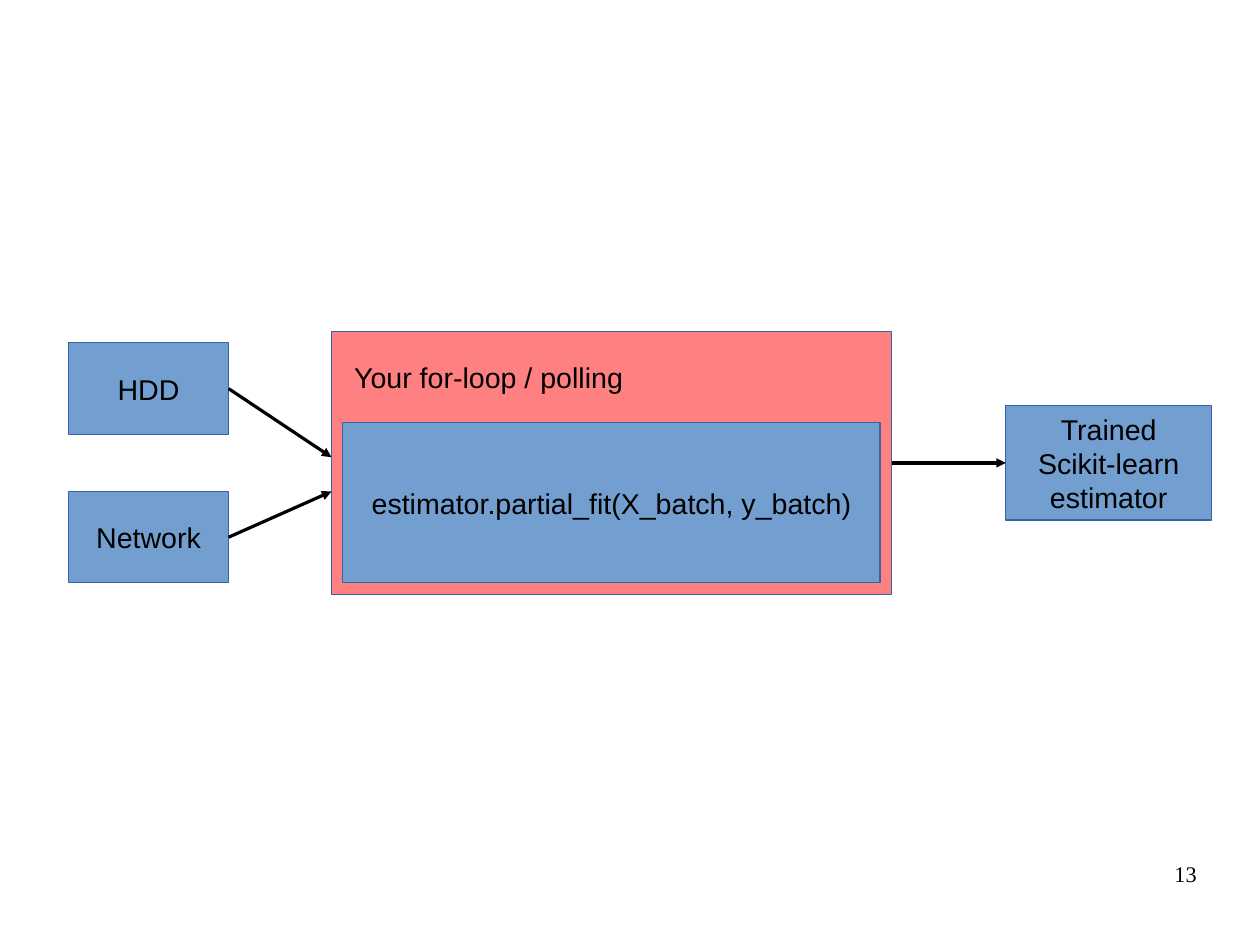
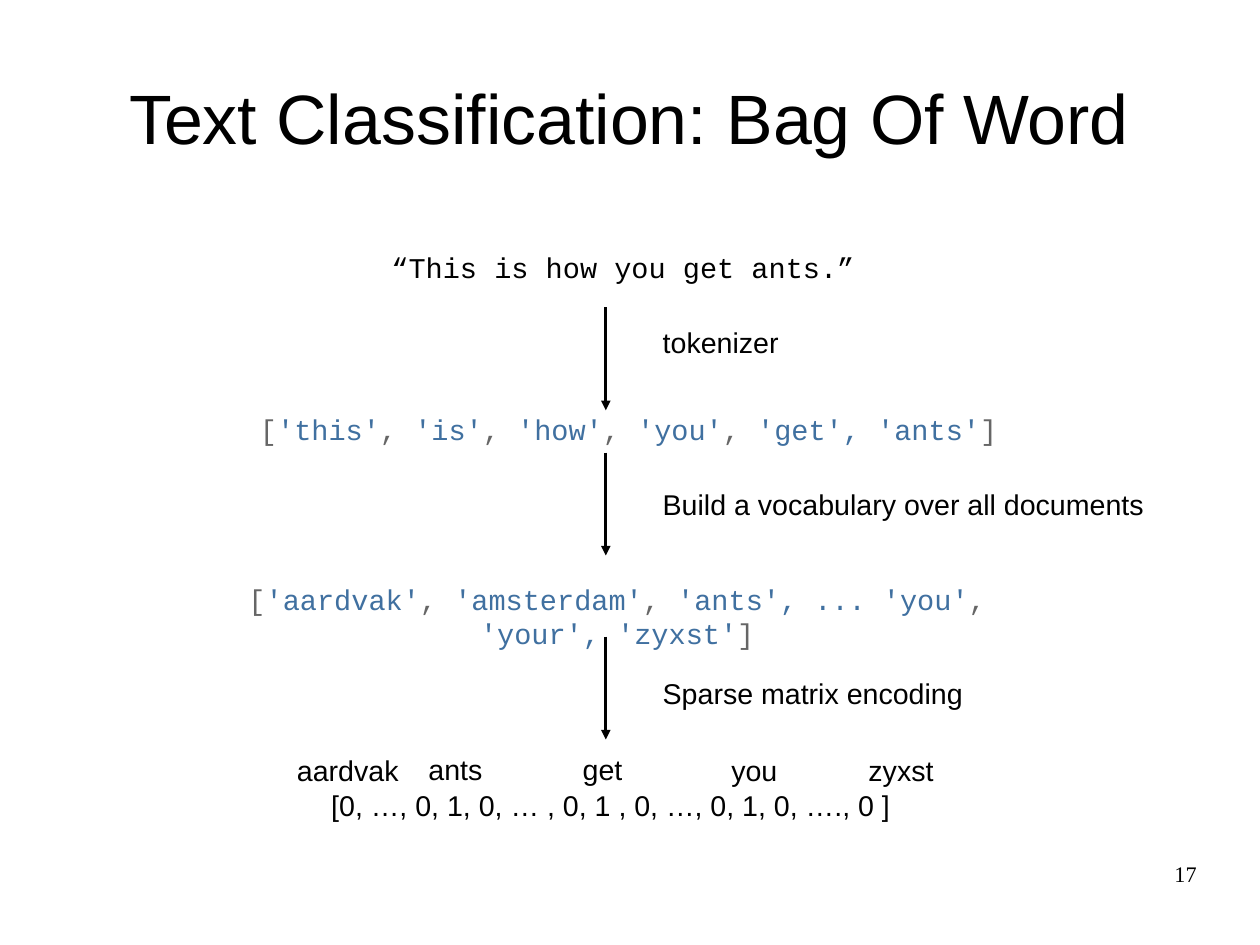
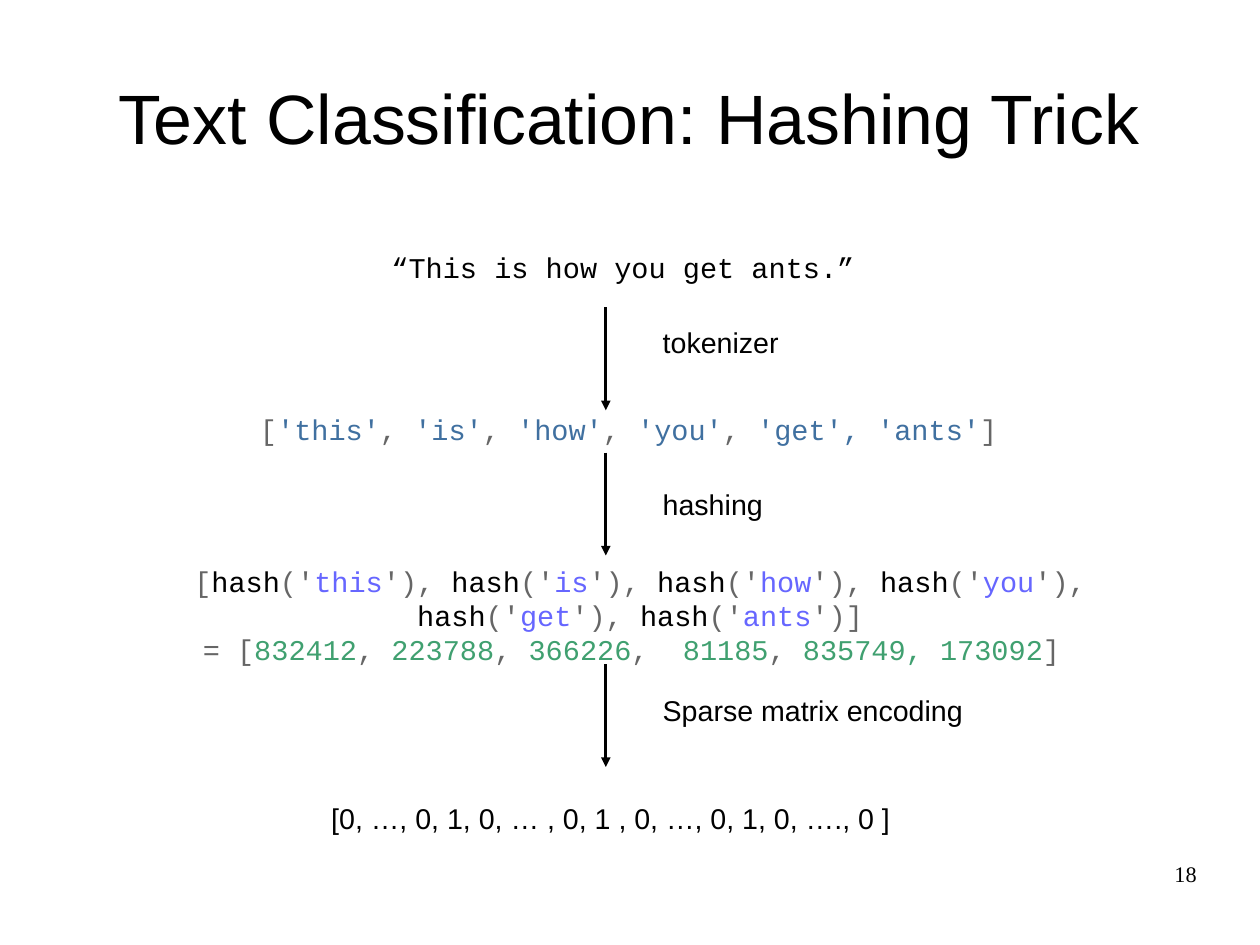
from itertools import cycle

from lxml.etree import SubElement
from pptx import Presentation
from pptx.dml.color import RGBColor
from pptx.enum.shapes import MSO_CONNECTOR, MSO_SHAPE
from pptx.enum.text import MSO_ANCHOR, PP_ALIGN
from pptx.oxml.ns import qn
from pptx.util import Pt

BLACK, BLUE, RED, EDGE = "000000", "729FCF", "FF8080", "3465A4"
GREY, STRING, WORD, NUMBER = "666666", "4070A0", "6666FF", "40A070"
SANS, MONO, SERIF = "Arial", "Courier New", "Times New Roman"
LEFT, CENTER, RIGHT = PP_ALIGN.LEFT, PP_ALIGN.CENTER, PP_ALIGN.RIGHT
TOP_SIDE, LEFT_SIDE, BOTTOM_SIDE, RIGHT_SIDE = range(4)


def color(value):
    return RGBColor.from_string(value)


class Pages:
    def __init__(self):
        self.deck = Presentation()
        self.deck.slide_width = Pt(793.7)
        self.deck.slide_height = Pt(595.28)
        self.page = None

    def new_page(self, number, title=None):
        self.page = self.deck.slides.add_slide(self.deck.slide_layouts[6])
        if title:
            self.text(title, 39.6, 23.76, 714.24, 99.36, size=44,
                      align=CENTER, anchor=MSO_ANCHOR.MIDDLE, inset=False)
        self.text(number, 568.8, 542.16, 185.04, 41.04, size=14,
                  font=SERIF, align=RIGHT, inset=False)

    def style(self, span, size, font, shade):
        span.font.size = Pt(size)
        span.font.name = font
        span.font.color.rgb = color(shade)

    def format(self, frame, size, font, align):
        for para in frame.paragraphs:
            para.alignment = align
            for span in para.runs:
                self.style(span, size, font, BLACK)

    def frame(self, left, top, width, height, inset=True):
        box = self.page.shapes.add_textbox(Pt(left), Pt(top), Pt(width), Pt(height))
        frame = box.text_frame
        frame.word_wrap = True
        if not inset:
            frame.margin_left = frame.margin_right = Pt(0)
            frame.margin_top = frame.margin_bottom = Pt(0)
        return frame

    def text(self, words, left, top, width, height=27.36, size=18, font=SANS,
             align=LEFT, anchor=MSO_ANCHOR.TOP, inset=True):
        frame = self.frame(left, top, width, height, inset)
        frame.vertical_anchor = anchor
        frame.text = words
        self.format(frame, size, font, align)

    def code(self, lines, left, top, width, height):
        frame = self.frame(left, top, width, height, inset=False)
        for index, line in enumerate(lines):
            para = frame.add_paragraph() if index else frame.paragraphs[0]
            para.alignment = CENTER
            for words, shade in line:
                span = para.add_run()
                span.text = words
                self.style(span, 18, MONO, shade)

    def block(self, words, left, top, width, height, fill=BLUE):
        box = self.page.shapes.add_shape(
            MSO_SHAPE.RECTANGLE, Pt(left), Pt(top), Pt(width), Pt(height))
        box.shadow.inherit = False
        box.fill.solid()
        box.fill.fore_color.rgb = color(fill)
        box.line.color.rgb = color(EDGE)
        box.line.width = Pt(0)
        if words:
            frame = box.text_frame
            frame.word_wrap = False
            frame.vertical_anchor = MSO_ANCHOR.MIDDLE
            frame.text = words
            self.format(frame, 18, SANS, CENTER)
        return box

    def arrow(self, start, end, source=None, target=None):
        arrow = self.page.shapes.add_connector(
            MSO_CONNECTOR.STRAIGHT, *[Pt(value) for value in (*start, *end)])
        if source is not None:
            arrow.begin_connect(source, RIGHT_SIDE)
        if target is not None:
            arrow.end_connect(target, LEFT_SIDE)
        arrow.line.color.rgb = color(BLACK)
        arrow.line.width = Pt(0)
        properties = arrow.element.spPr
        SubElement(properties.find(qn("a:ln")), qn("a:tailEnd"), type="triangle")
        SubElement(properties, qn("a:effectLst"))

    def step(self, label, arrow_top, label_top):
        self.arrow((381.6, arrow_top), (381.6, arrow_top + 64.8))
        self.text(label, 410.4, label_top, 338.4)


def alternate(marked, accent):
    return list(zip(marked.split("|"), cycle((GREY, accent))))


def hash_calls(words):
    spans = [("[", GREY)]
    for word in words:
        closing = "')]" if word == words[-1] else "'), "
        spans += [("hash", BLACK), ("('", GREY), (word, WORD), (closing, GREY)]
    return spans


def polling_page(pages):
    pages.new_page("13")
    disk = pages.block("HDD", 43.2, 216, 100.8, 57.6)
    network = pages.block("Network", 43.2, 309.6, 100.8, 57.6)
    loop = pages.block("", 208.8, 208.8, 352.8, 165.6, fill=RED)
    pages.block("estimator.partial_fit(X_batch, y_batch)", 216, 266.4, 338.4, 100.8)
    pages.text("Your for-loop / polling", 216, 223.2, 316.8)
    trained = pages.block("Trained\nScikit-learn\nestimator", 633.6, 255.6, 129.6, 72)
    pages.arrow((144, 244.8), (208.8, 288), source=disk)
    pages.arrow((144, 338.4), (208.8, 309.6), source=network)
    pages.arrow((561.6, 291.6), (633.6, 291.6), source=loop, target=trained)


def pipeline_page(pages, number, title, second_step, encoding_top, encoding_label_top,
                  vector_top):
    pages.new_page(number, "Text Classification: " + title)
    pages.text("“This is how you get ants.”", 223.2, 157.68, 338.4, 20.88,
               font=MONO, align=CENTER, inset=False)
    tokens = "[|'this'|, |'is'|, |'how'|, |'you'|, |'get', 'ants'|]"
    pages.code([alternate(tokens, STRING)], 151.2, 259.2, 489.6, 20.88)
    pages.step("tokenizer", 193.68, 200.88)
    pages.step(second_step, 285.12, 303.12)
    pages.step("Sparse matrix encoding", encoding_top, encoding_label_top)
    pages.text("[0, …, 0, 1, 0, … , 0, 1 , 0, …, 0, 1, 0, …., 0 ]",
               201.6, vector_top, 367.2)


def vocabulary_page(pages):
    pipeline_page(pages, "17", "Bag Of Word", "Build a vocabulary over all documents",
                  401.04, 422, 492.48)
    vocabulary = "[|'aardvak'|, |'amsterdam'|, |'ants', ... 'you'|, |'your', 'zyxst'|]"
    pages.code([alternate(vocabulary, STRING)], 144, 366.48, 489.6, 41.04)
    columns = (("aardvak", 180, 470.88), ("ants", 262.8, 470.16), ("get", 360, 470.16),
               ("you", 453.6, 470.88), ("zyxst", 540, 470.88))
    for word, left, top in columns:
        pages.text(word, left, top, 79.2)


def hashing_page(pages):
    pipeline_page(pages, "18", "Hashing Trick", "hashing", 418.32, 433, 501.12)
    calls = hash_calls(("this", "is", "how", "you", "get", "ants"))
    values = "= [|832412|, |223788|, |366226|,  |81185|, |835749, 173092|] "
    pages.code([calls, alternate(values, NUMBER)], 72, 354.96, 662.4, 82.08)


def main():
    pages = Pages()
    polling_page(pages)
    vocabulary_page(pages)
    hashing_page(pages)
    pages.deck.save("out.pptx")


if __name__ == "__main__":
    main()
